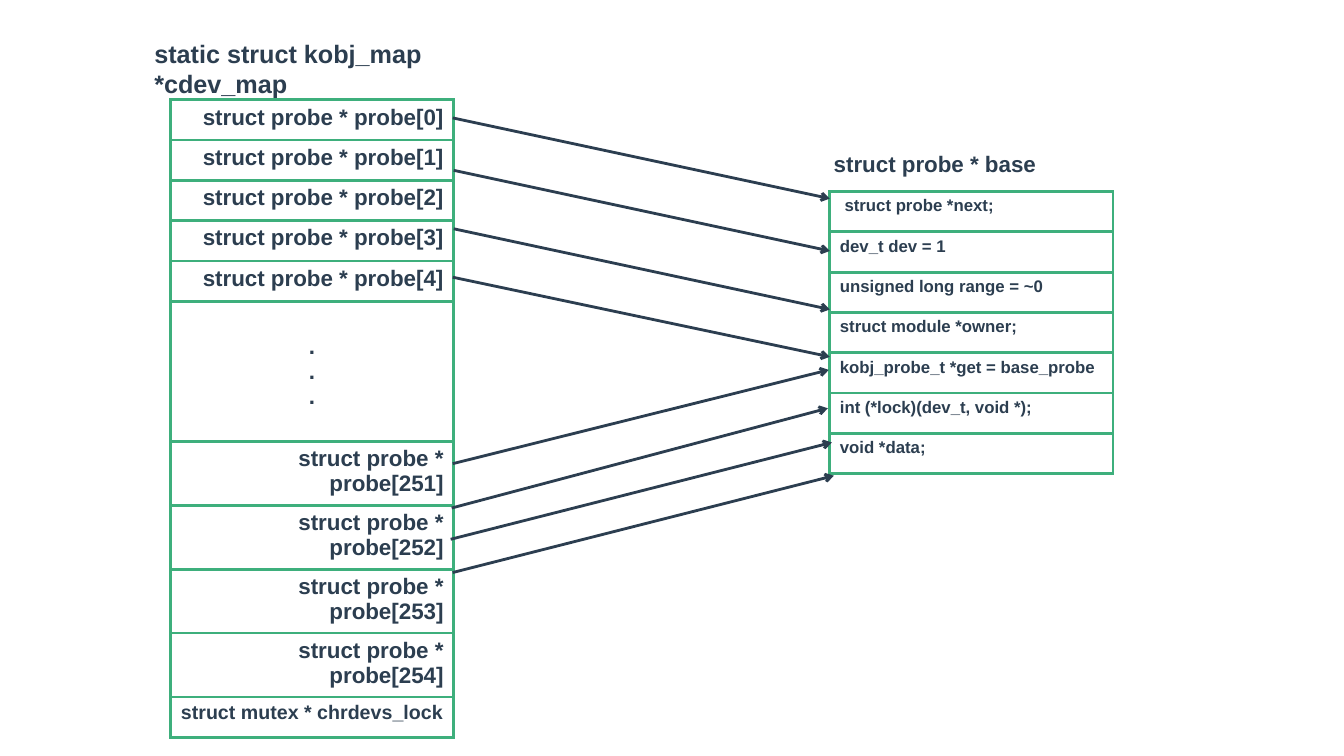
from lxml import etree
from pptx import Presentation, util as u
from pptx.dml.color import RGBColor
from pptx.enum import shapes, text
from pptx.oxml.ns import qn

COLORS = {"ink": "2C3E50", "border": "3EAF7C"}
FONT = {"name": "Arial", "bold": True}
BORDER_PT, ARROW_PT, ROW_H, TABLE_W = 2.25, 2, 0.4, 2.81
LEFT, CENTER, RIGHT = text.PP_ALIGN.LEFT, text.PP_ALIGN.CENTER, text.PP_ALIGN.RIGHT

ENTRY = "struct probe * probe[{}]"
MAP_ROWS = (
    [([ENTRY.format(i)], RIGHT, 16, ROW_H) for i in range(5)]
    + [(["."] * 3, CENTER, 16, 1.39)]
    + [([ENTRY.format(i)], RIGHT, 16, ROW_H) for i in range(251, 255)]
    + [(["struct mutex * chrdevs_lock"], CENTER, 14, ROW_H)]
)
BASE_FIELDS = [
    " struct probe *next;",
    "dev_t dev = 1",
    "unsigned long range = ~0",
    "struct module *owner;",
    "kobj_probe_t *get = base_probe",
    "int (*lock)(dev_t, void *);",
    "void *data;",
]
BASE_ROWS = [([field], LEFT, 12, ROW_H) for field in BASE_FIELDS]
ARROWS = [
    (4.49, 1.17, 8.23, 1.97),
    (4.5, 1.69, 8.23, 2.49),
    (4.5, 2.27, 8.23, 3.07),
    (4.49, 2.75, 8.23, 3.54),
    (4.49, 4.6, 8.22, 3.67),
    (4.48, 5.04, 8.21, 4.05),
    (4.47, 5.35, 8.25, 4.39),
    (4.49, 5.68, 8.27, 4.72),
]


class Diagram:
    """Holds the style and the current slide, and draws each kind of element."""

    def __init__(self, prs):
        self.s = prs.slides.add_slide(prs.slide_layouts[5])

    def add_lines(self, tf, lines, size, align):
        for i, line in enumerate(lines):
            p = tf.paragraphs[0] if i == 0 else tf.add_paragraph()
            p.alignment = align
            r = p.add_run()
            r.text = line
            for key, value in {**FONT, "size": u.Pt(size)}.items():
                setattr(r.font, key, value)
            r.font.color.rgb = RGBColor.from_string(COLORS["ink"])

    def label(self, sp, line, size):
        tf = sp.text_frame
        frame = {
            "word_wrap": False,
            "auto_size": text.MSO_AUTO_SIZE.SHAPE_TO_FIT_TEXT,
            "vertical_anchor": text.MSO_ANCHOR.TOP,
        }
        for key, value in frame.items():
            setattr(tf, key, value)
        self.add_lines(tf, [line], size, LEFT)

    def title(self, line, size, x, y, w, h):
        sp = self.s.shapes.title
        for key, value in {"left": x, "top": y, "width": w, "height": h}.items():
            setattr(sp, key, u.Inches(value))
        self.label(sp, line, size)

    def caption(self, line, size, *box):
        self.label(self.s.shapes.add_textbox(*map(u.Inches, box)), line, size)

    def border(self, cell):
        tcPr = cell._tc.get_or_add_tcPr()
        for side in ("lnL", "lnR", "lnT", "lnB"):
            ln = etree.SubElement(tcPr, qn(f"a:{side}"), w=str(u.Pt(BORDER_PT)))
            fill = etree.SubElement(ln, qn("a:solidFill"))
            etree.SubElement(fill, qn("a:srgbClr"), val=COLORS["border"])

    def table(self, rows, x, y):
        height = sum(row[-1] for row in rows)
        box = map(u.Inches, (x, y, TABLE_W, height))
        tbl = self.s.shapes.add_table(len(rows), 1, *box).table
        for key in ("first_row", "horz_banding"):
            setattr(tbl, key, False)
        for i, (lines, align, size, h) in enumerate(rows):
            tbl.rows[i].height = u.Inches(h)
            cell = tbl.cell(i, 0)
            self.border(cell)
            cell.fill.background()
            if len(lines) > 1:
                cell.vertical_anchor = text.MSO_ANCHOR.MIDDLE
            self.add_lines(cell.text_frame, lines, size, align)

    def arrow(self, *ends):
        sp = self.s.shapes.add_connector(
            shapes.MSO_CONNECTOR.STRAIGHT, *map(u.Inches, ends))
        sp.line.color.rgb = RGBColor.from_string(COLORS["ink"])
        sp.line.width = u.Pt(ARROW_PT)
        etree.SubElement(sp.line._get_or_add_ln(), qn("a:tailEnd"), type="arrow")
        etree.SubElement(sp._element.spPr, qn("a:effectLst"))


def main():
    prs = Presentation()
    prs.slide_width, prs.slide_height = u.Inches(13.33), u.Inches(7.5)
    d = Diagram(prs)
    d.table(MAP_ROWS, 1.69, 0.99)
    d.title("static struct kobj_map *cdev_map", 18, 1.43, 0.33, 4.24, 0.4)
    d.table(BASE_ROWS, 8.23, 1.9)
    d.caption("struct probe * base", 16, 8.17, 1.44, 2.21, 0.37)
    for ends in ARROWS:
        d.arrow(*ends)
    prs.save("out.pptx")


if __name__ == "__main__":
    main()
